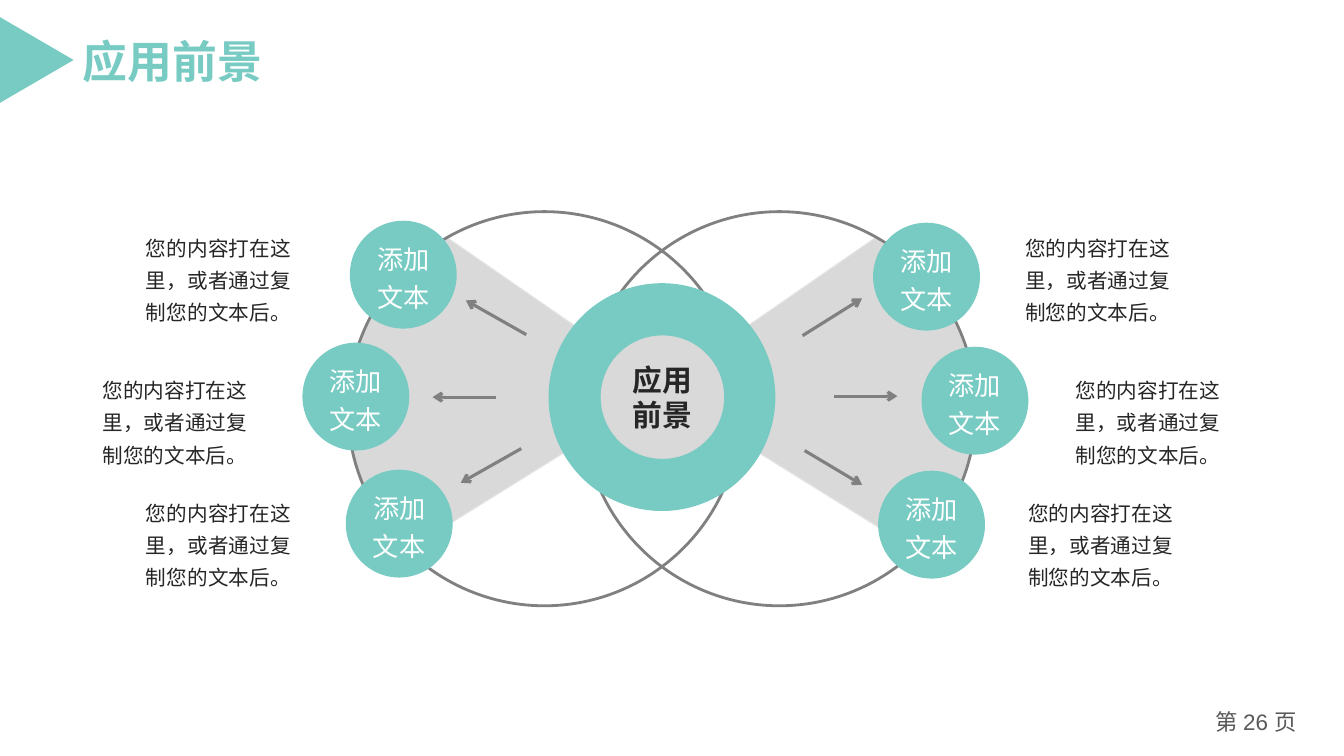
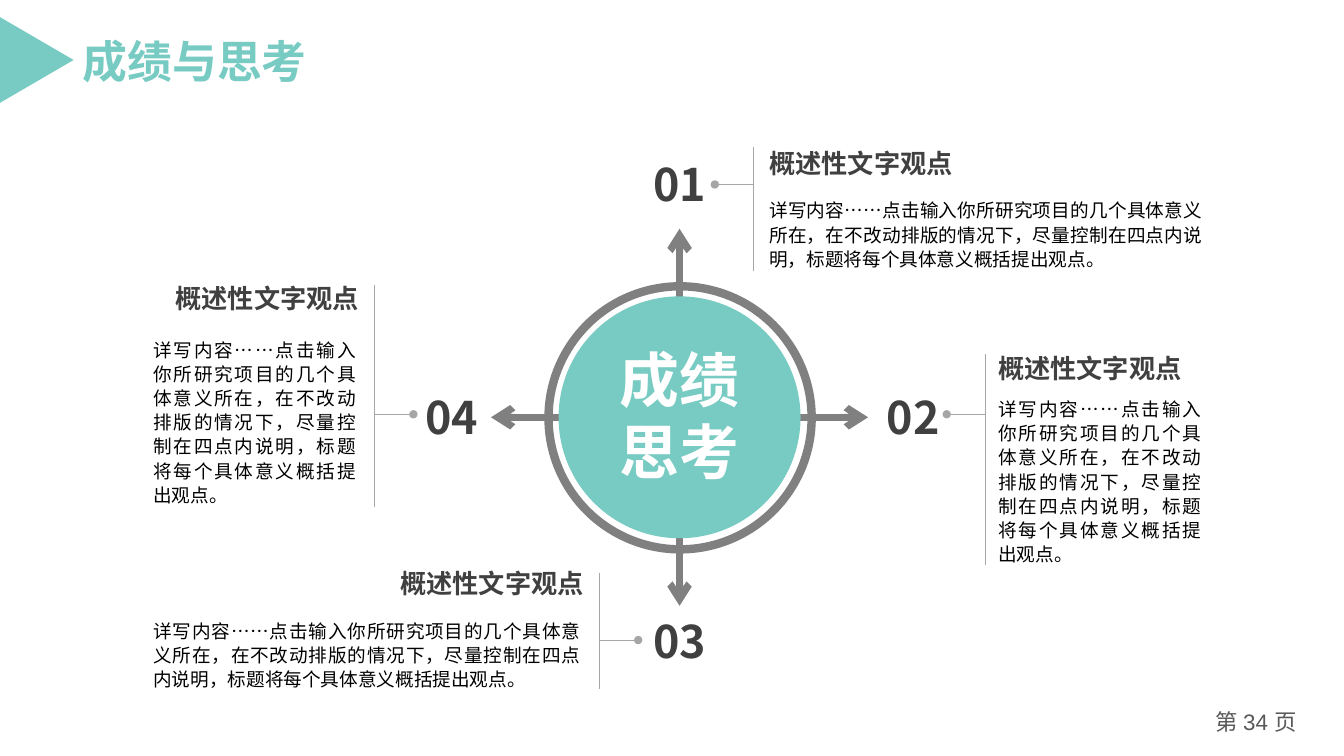
"""Build two diagram slides: a double-fan prospect chart and a four-way summary."""
from dataclasses import dataclass

from lxml import etree
from pptx import Presentation
from pptx import util as u
from pptx.dml.color import RGBColor
from pptx.enum import shapes, text
from pptx.oxml.ns import qn
from pptx.shapes.autoshape import Shape
from pptx.shapes.connector import Connector
from pptx.slide import Slide

PX = 9144
SLIDE_W, SLIDE_H = 1333, 750
TEAL, GREY, PALE, RULE = "77CBC3", "808080", "D9D9D9", "A6A6A6"
WHITE, BLACK, INK, DARK, FOOTER = "FFFFFF", "000000", "262626", "404040", "595959"
CJK, ARIAL = "Noto Sans CJK SC", "Arial"
LEFT, CENTER, RIGHT, JUSTIFY = (
    text.PP_ALIGN.LEFT, text.PP_ALIGN.CENTER, text.PP_ALIGN.RIGHT, text.PP_ALIGN.JUSTIFY)
NO_INSET, INSET, TITLE_INSET = (0, 0), (10, 5), (13, 7)

Point = tuple[int, int]
Box = tuple[int, int, int, int]


@dataclass(frozen=True)
class Style:
    """Look of one kind of text."""
    size: float
    color: str
    align: text.PP_ALIGN = LEFT
    bold: bool = False
    latin: str = CJK
    spacing: float | u.Pt | None = None


@dataclass(frozen=True)
class Topic:
    """A labelled circle and the corner of its note."""
    circle: Point
    note: Point


@dataclass(frozen=True)
class Callout:
    """A numbered heading and body beside a vertical rule."""
    number: str
    number_at: Point
    dot: Point
    rule_x: int
    rule_top: int
    rule_bottom: int
    left: int
    width: int
    heading_top: int
    body_top: int
    body_height: int
    align: text.PP_ALIGN


TITLE = Style(32, TEAL, bold=True, latin=ARIAL)
PAGE = Style(16, FOOTER, CENTER, latin=ARIAL)
HUB = Style(21.3, INK, CENTER, True, "Arial Narrow")
TOPIC = Style(18.7, WHITE, CENTER, latin=ARIAL, spacing=1.2)
NOTE = Style(14.7, INK, spacing=1.3)
NUMBER = Style(32, DARK, CENTER, True)
BODY = Style(13.3, BLACK, JUSTIFY, spacing=u.Pt(17.3))
CORE = Style(42.7, WHITE, CENTER, True)

TOPIC_TEXT = "添加文本"
NOTE_TEXT = "您的内容打在这里，或者通过复制您的文本后。"
HEADING_TEXT = "概述性文字观点"
BODY_TEXT = ("详写内容……点击输入你所研究项目的几个具体意义所在，在不改动排版的情况下，"
             "尽量控制在四点内说明，标题将每个具体意义概括提出观点。")

MIRROR = 1312
FAN_CURVES = (
    ((908, 546), (971, 470), (964, 443), (967, 403)),
    ((967, 403), (965, 370), (958, 335), (940, 307)),
    ((940, 307), (909, 265), (916, 268), (868, 236)),
)
FAN_TIP = (651, 386)
CURVE_STEPS = 12
SPOKES = (
    ((522, 332), (462, 298)), ((492, 394), (429, 394)), ((517, 445), (457, 479)),
    ((798, 447), (855, 481)), ((827, 393), (890, 393)), ((796, 333), (855, 296)),
)
TOPICS = (
    Topic((347, 219), (135, 222)), Topic((300, 340), (92, 363)),
    Topic((343, 466), (135, 485)), Topic((866, 221), (1007, 222)),
    Topic((914, 344), (1057, 363)), Topic((871, 467), (1010, 485)),
)
CORE_X, CORE_Y, ARROW_START, ARROW_END = 674, 414, 105, 187
CALLOUTS = (
    Callout("01", (639, 156), (709, 183), 747, 146, 269, 763, 430, 146, 196, 72, LEFT),
    Callout("02", (871, 387), (939, 411), 977, 351, 561, 990, 202, 349, 393, 167, LEFT),
    Callout("03", (639, 609), (633, 635), 594, 568, 684, 152, 424, 563, 613, 72, RIGHT),
    Callout("04", (413, 387), (410, 411), 371, 283, 503, 152, 201, 280, 334, 167, RIGHT),
)


def rgb(color: str) -> RGBColor:
    """Turn a hex string into a colour."""
    return RGBColor.from_string(color)


def emu(*lengths: float) -> list[int]:
    """Scale px lengths to EMU."""
    return [round(n * PX) for n in lengths]


def write(sp: Shape, content: str, style: Style, inset: Point = INSET) -> None:
    """Put one styled paragraph in a shape."""
    tf = sp.text_frame
    tf.word_wrap = True
    tf.margin_left = tf.margin_right = inset[0] * PX
    tf.margin_top = tf.margin_bottom = inset[1] * PX
    tf.text = content
    p = tf.paragraphs[0]
    p.alignment = style.align
    if style.spacing is not None:
        p.line_spacing = style.spacing
    r = p.runs[0]
    r.font.size, r.font.bold, r.font.name = u.Pt(style.size), style.bold, style.latin
    r.font.color.rgb = rgb(style.color)
    r.font.name = style.latin
    etree.SubElement(r.font._element, qn("a:ea"), typeface=CJK)


def label(s: Slide, box: Box, content: str, style: Style, inset: Point = INSET) -> Shape:
    """Add a text box."""
    sp = s.shapes.add_textbox(*emu(*box))
    write(sp, content, style, inset)
    return sp


def paint(sp: Shape, fill: str | None, line: str | None = None, width: float = 1) -> None:
    """Set fill and outline, and drop the shadow."""
    sp.shadow.inherit = False
    if fill:
        sp.fill.solid()
        sp.fill.fore_color.rgb = rgb(fill)
    else:
        sp.fill.background()
    if line:
        sp.line.color.rgb = rgb(line)
        sp.line.width = u.Pt(width)
    else:
        sp.line.fill.background()


def ellipse(s: Slide, box: Box, fill: str | None, line: str | None = None,
            width: float = 1) -> Shape:
    """Add an ellipse."""
    sp = s.shapes.add_shape(shapes.MSO_SHAPE.OVAL, *emu(*box))
    paint(sp, fill, line, width)
    sp.text_frame.vertical_anchor = text.MSO_ANCHOR.MIDDLE
    return sp


def connect(s: Slide, start: Point, end: Point, color: str, width: float,
            head: str | None = None, tail: str | None = None) -> Connector:
    """Add a straight line with optional ends."""
    cx = s.shapes.add_connector(shapes.MSO_CONNECTOR.STRAIGHT, *emu(*start, *end))
    cx.line.color.rgb = rgb(color)
    cx.line.width = u.Pt(width)
    for tag, kind in (("a:headEnd", head), ("a:tailEnd", tail)):
        if kind:
            etree.SubElement(cx.line._get_or_add_ln(), qn(tag), type=kind)
    etree.SubElement(cx._element.spPr, qn("a:effectLst"))
    return cx


def bezier(curve: tuple[Point, Point, Point, Point]) -> list[tuple[float, float]]:
    """Sample a cubic curve, both ends included."""
    points = []
    for step in range(CURVE_STEPS + 1):
        t = step / CURVE_STEPS
        weights = ((1 - t) ** 3, 3 * t * (1 - t) ** 2, 3 * t * t * (1 - t), t ** 3)
        points.append((sum(w * q[0] for w, q in zip(weights, curve)),
                       sum(w * q[1] for w, q in zip(weights, curve))))
    return points


def fan(s: Slide, mirrored: bool) -> None:
    """Add a fan-shaped wedge, opening right or mirrored to the left."""
    points = [FAN_TIP] + [q for curve in FAN_CURVES for q in bezier(curve)]
    outline = [emu(MIRROR - x if mirrored else x, y) for x, y in points]
    builder = s.shapes.build_freeform(*outline[0], scale=1.0)
    builder.add_line_segments(outline[1:], close=True)
    paint(builder.convert_to_shape(), PALE, "E6E6E6", 0.75)


def new_slide(prs: Presentation, title: str, page: int) -> Slide:
    """Add a slide with its title, marker and page number."""
    s = prs.slides.add_slide(prs.slide_layouts[6])
    label(s, (1186, 698, 120, 40), f"第 {page} 页", PAGE)
    label(s, (69, 26, 26 + 45 * len(title), 67), title, TITLE, TITLE_INSET)
    marker = s.shapes.add_shape(shapes.MSO_SHAPE.ISOSCELES_TRIANGLE, *emu(-6, 23, 85, 73))
    marker.rotation = 90
    paint(marker, TEAL)
    return s


def prospect_slide(prs: Presentation) -> None:
    """Draw the hub with six topics."""
    s = new_slide(prs, "应用前景", 26)
    for mirrored in (False, True):
        fan(s, mirrored)
    for left in (345, 578):
        ellipse(s, (left, 210, 390, 391), None, GREY, 2)
    for start, end in SPOKES:
        connect(s, start, end, GREY, 2.25, tail="arrow")
    ellipse(s, (544, 281, 225, 226), TEAL)
    write(ellipse(s, (596, 333, 122, 122), PALE, "D7D7D7", 0.25), "应用前景", HUB)
    for topic in TOPICS:
        write(ellipse(s, (*topic.circle, 106, 107), TEAL), TOPIC_TEXT, TOPIC)
        label(s, (*topic.note, 174, 106), NOTE_TEXT, NOTE)


def draw_callout(s: Slide, c: Callout) -> None:
    """Draw one numbered callout."""
    x, y = c.number_at
    number = label(s, (x, y, 70, 54), c.number, NUMBER, NO_INSET)
    connect(s, (c.rule_x, c.rule_top), (c.rule_x, c.rule_bottom), RULE, 0.5)
    leader = connect(s, c.dot, (c.rule_x, c.dot[1]), RULE, 0.5, head="oval")
    if c.dot == (x + 70, y + 27):
        leader.begin_connect(number, 3)
    heading = Style(18.7, DARK, c.align, True)
    label(s, (c.left, c.heading_top, c.width + 3, 31), HEADING_TEXT, heading, NO_INSET)
    label(s, (c.left, c.body_top, c.width, c.body_height), BODY_TEXT, BODY, NO_INSET)


def summary_slide(prs: Presentation) -> None:
    """Draw the core circle with four callouts."""
    s = new_slide(prs, "成绩与思考", 34)
    ellipse(s, (544, 284, 261, 261), None, GREY, 6)
    for dx, dy in ((0, -1), (1, 0), (0, 1), (-1, 0)):
        start, end = ((CORE_X + dx * reach, CORE_Y + dy * reach)
                      for reach in (ARROW_START, ARROW_END))
        connect(s, start, end, GREY, 5, tail="arrow")
    for callout in CALLOUTS:
        draw_callout(s, callout)
    ellipse(s, (554, 294, 240, 240), TEAL)
    label(s, (586, 335, 175, 154), "成绩思考", CORE)


def main() -> None:
    """Build and save the deck."""
    prs = Presentation()
    prs.slide_width, prs.slide_height = emu(SLIDE_W, SLIDE_H)
    prospect_slide(prs)
    summary_slide(prs)
    prs.save("out.pptx")


if __name__ == "__main__":
    main()
